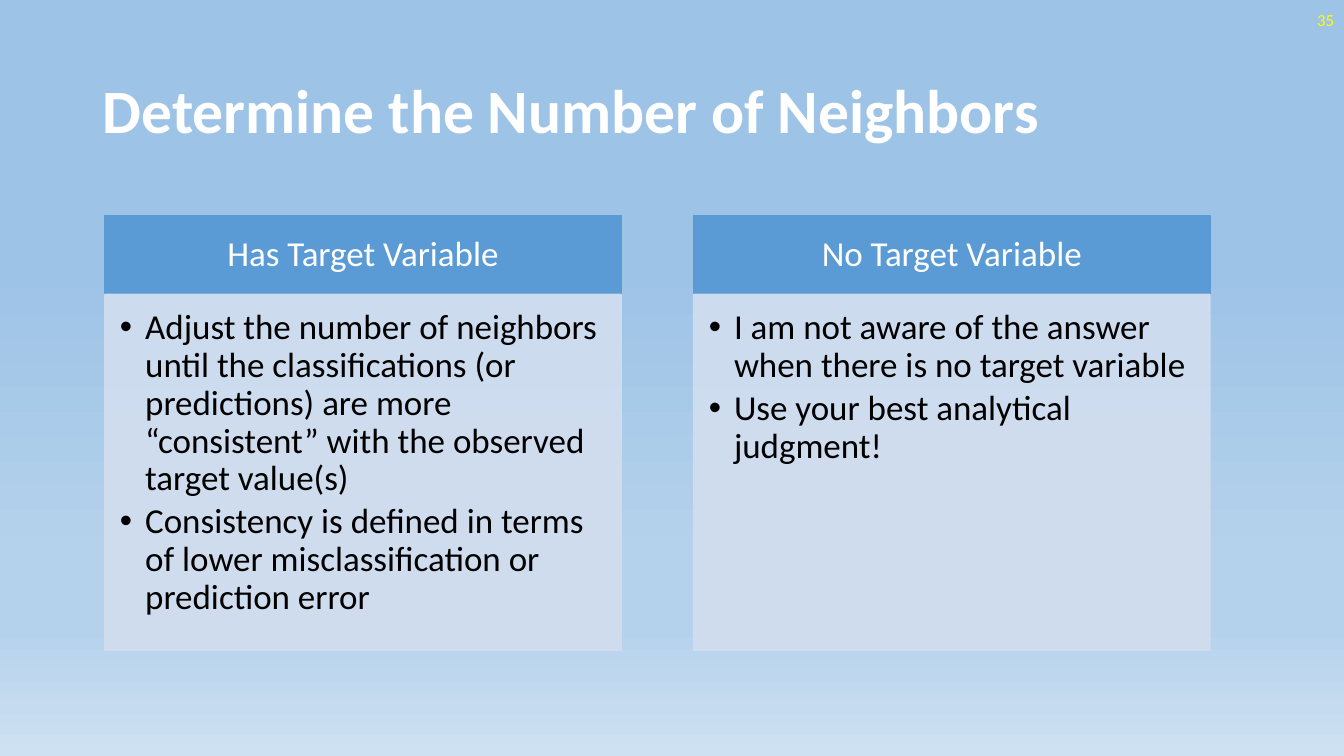
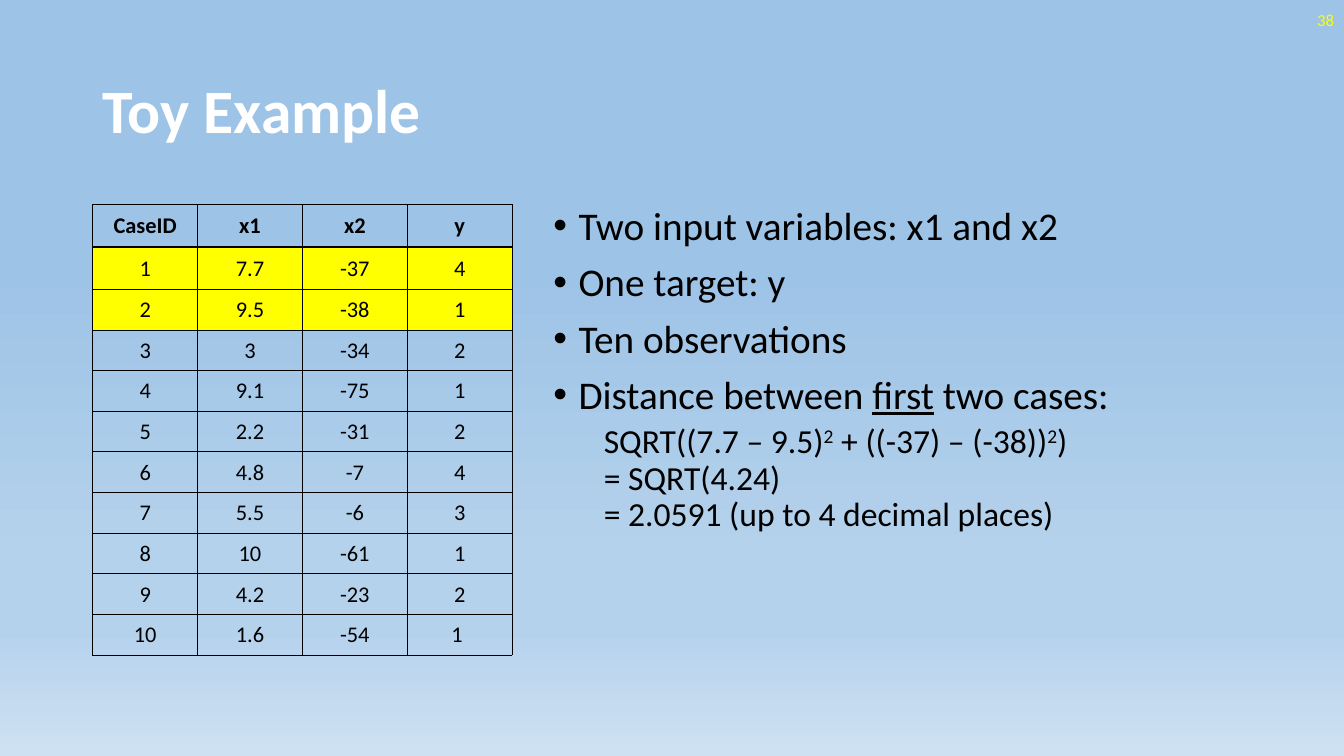
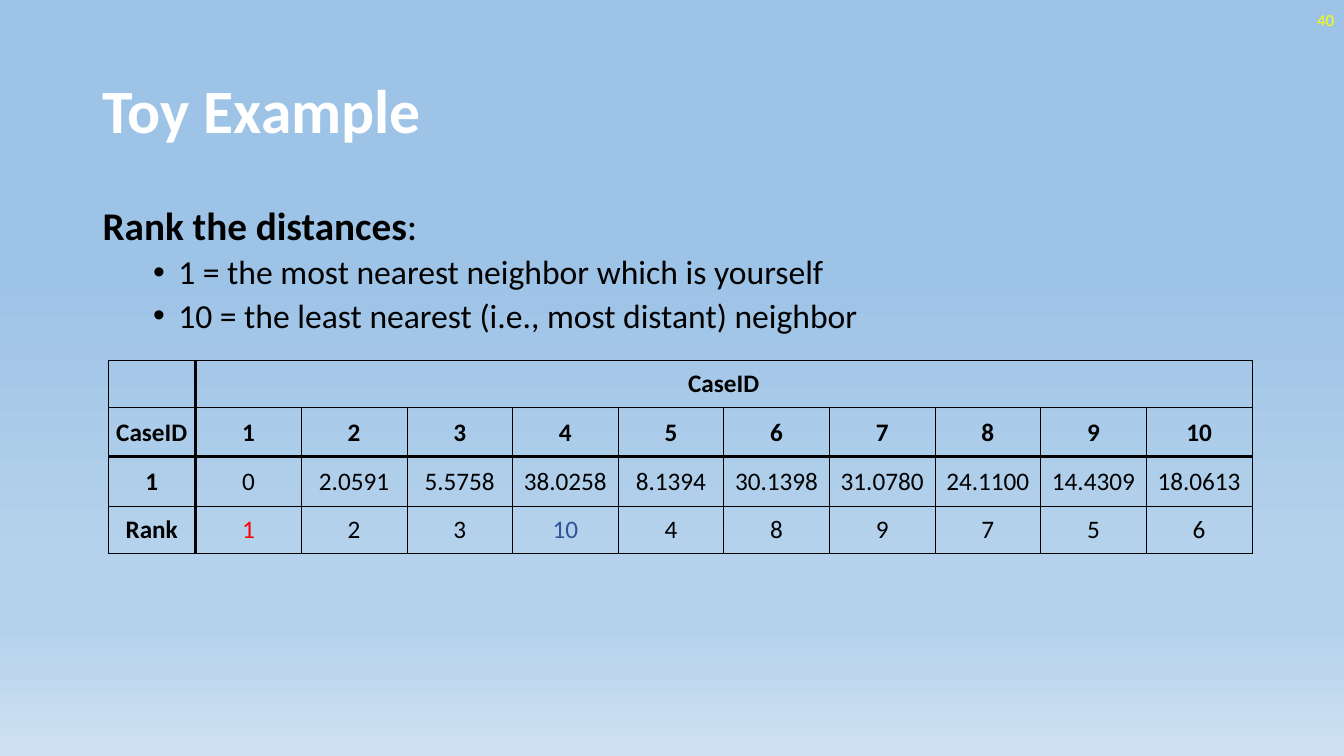
from dataclasses import dataclass, replace

from lxml import etree
from pptx import Presentation
from pptx.dml.color import RGBColor
from pptx.enum.shapes import MSO_SHAPE
from pptx.enum.text import MSO_ANCHOR, PP_ALIGN
from pptx.oxml.ns import qn
from pptx.util import Emu, Pt

EMU_PER_PX = 9144  # 100 px to the inch
SLIDE_WIDTH, SLIDE_HEIGHT = 1333, 750

RECTANGLE = MSO_SHAPE.RECTANGLE
TOP, MIDDLE = MSO_ANCHOR.TOP, MSO_ANCHOR.MIDDLE
LEFT, CENTER, RIGHT = PP_ALIGN.LEFT, PP_ALIGN.CENTER, PP_ALIGN.RIGHT

FONT = "Calibri"
BLACK, WHITE, YELLOW, RED = "000000", "FFFFFF", "FFFF00", "FF0000"
NAVY, HEADER_BLUE, PANEL_BLUE = "2F5597", "5B9BD5", "D2DEEF"
BACKGROUND_STOPS = ((35, "9DC3E6"), (74, "B5D2EC"), (83, "B5D2EC"), (100, "CEE1F2"))
THIN, THICK = 0.5, 2


@dataclass(frozen=True)
class Box:
    left: int
    top: int
    width: int
    height: int


@dataclass(frozen=True)
class Style:
    size: int
    colour: str = BLACK
    bold: bool = False
    align: PP_ALIGN = LEFT
    spacing: float = 0.9
    before: float = 0
    after: float = 0
    margin: int = 0
    indent: int = 0
    bullet: bool = False


@dataclass(frozen=True)
class Run:
    text: str
    bold: bool | None = None
    underline: bool | None = None
    superscript: bool = False


@dataclass(frozen=True)
class Line:
    style: Style
    runs: tuple[Run, ...]


@dataclass(frozen=True)
class Panel:
    heading: str
    bullets: tuple[str, ...]


@dataclass(frozen=True)
class Grid:
    """A table whose thick rules follow its header rows and header columns."""
    box: Box
    rows: tuple[tuple[str, ...], ...]
    widths: list[float]
    heights: list[float]
    size: int
    header_rows: int
    header_columns: int = 0
    highlighted_rows: tuple[int, ...] = ()


TITLE = Style(44, WHITE, bold=True)
NUMBER = Style(12, YELLOW, align=RIGHT, spacing=1)
PANEL_HEADING = Style(25, WHITE, align=CENTER)
PANEL_BULLET = Style(25, after=3.75, margin=25, indent=-25, bullet=True)
BODY = Style(28, before=10)
BODY_BULLET = replace(BODY, margin=25, indent=-25, bullet=True)
FORMULA = Style(24, before=5, margin=50)
SUB_BULLET = replace(FORMULA, margin=75, indent=-25, bullet=True)

TITLE_BOX = Box(92, 40, 1150, 145)
NUMBER_BOX = Box(1033, 0, 300, 40)
DEFAULT_INSETS = (10, 5, 10, 5)

PANELS = (
    Panel("Has Target Variable", (
        "Adjust the number of neighbors until the classifications (or predictions) "
        "are more “consistent” with the observed target value(s)",
        "Consistency is defined in terms of lower misclassification or prediction error",
    )),
    Panel("No Target Variable", (
        "I am not aware of the answer when there is no target variable",
        "Use your best analytical judgment!",
    )),
)
PANEL_LEFT, PANEL_TOP, PANEL_WIDTH, PANEL_PITCH = 104, 214, 512, 584
HEADING_HEIGHT, PANEL_HEIGHT = 78, 353

CASES = (
    ("CaseID", "x1", "x2", "y"),
    ("1", "7.7", "-37", "4"),
    ("2", "9.5", "-38", "1"),
    ("3", "3", "-34", "2"),
    ("4", "9.1", "-75", "1"),
    ("5", "2.2", "-31", "2"),
    ("6", "4.8", "-7", "4"),
    ("7", "5.5", "-6", "3"),
    ("8", "10", "-61", "1"),
    ("9", "4.2", "-23", "2"),
    ("10", "1.6", "-54", "1 "),
)
DISTANCES = (
    ("", "CaseID") + ("",) * 9,
    ("CaseID",) + tuple(str(case) for case in range(1, 11)),
    ("1", "0", "2.0591", "5.5758", "38.0258", "8.1394", "30.1398", "31.0780",
     "24.1100", "14.4309", "18.0613"),
    ("Rank", "1", "2", "3", "10", "4", "8", "9", "7", "5", "6"),
)


def px(value: float) -> Emu:
    return Emu(round(value * EMU_PER_PX))


def rgb(colour: str) -> RGBColor:
    return RGBColor.from_string(colour)


def line(style: Style, *parts: str | Run) -> Line:
    return Line(style, tuple(Run(part) if isinstance(part, str) else part for part in parts))


def set_background(master) -> None:
    fill = master.background.fill
    fill.gradient()
    fill.gradient_angle = 270
    stops = master.element.find(".//" + qn("a:gsLst"))
    for stop in list(stops):
        stops.remove(stop)
    for position, colour in BACKGROUND_STOPS:
        stop = etree.SubElement(stops, qn("a:gs"), pos=str(position * 1000))
        etree.SubElement(stop, qn("a:srgbClr"), val=colour)


def format_paragraph(paragraph, style: Style) -> None:
    properties = paragraph._p.get_or_add_pPr()
    properties.set("marL", str(px(style.margin)))
    properties.set("indent", str(px(style.indent)))
    if style.bullet:
        etree.SubElement(properties, qn("a:buFont"), typeface="Arial")
        etree.SubElement(properties, qn("a:buChar"), char="•")
    paragraph.alignment = style.align
    paragraph.line_spacing = style.spacing
    paragraph.space_before = Pt(style.before)
    paragraph.space_after = Pt(style.after)
    font = paragraph.font
    font.name, font.size, font.bold = FONT, Pt(style.size), style.bold
    font.color.rgb = rgb(style.colour)


def add_run(paragraph, run: Run) -> None:
    for index, text in enumerate(run.text.split("\n")):
        if index:
            paragraph.add_line_break()
        text_run = paragraph.add_run()
        text_run.text = text
        text_run.font.bold = run.bold
        text_run.font.underline = run.underline
        if run.superscript:
            text_run.font._element.set("baseline", "30000")


def write_lines(frame, lines: list[Line]) -> None:
    for index, text_line in enumerate(lines):
        paragraph = frame.add_paragraph() if index else frame.paragraphs[0]
        format_paragraph(paragraph, text_line.style)
        for run in text_line.runs:
            add_run(paragraph, run)


def fill_frame(shape, lines: list[Line], anchor: MSO_ANCHOR, insets: tuple[int, ...]) -> None:
    frame = shape.text_frame
    frame.word_wrap = True
    frame.vertical_anchor = anchor
    (frame.margin_left, frame.margin_top,
     frame.margin_right, frame.margin_bottom) = map(px, insets)
    write_lines(frame, lines)


def placement(box: Box) -> tuple[Emu, ...]:
    return px(box.left), px(box.top), px(box.width), px(box.height)


def add_text(slide, box: Box, lines: list[Line], anchor: MSO_ANCHOR = TOP) -> None:
    fill_frame(slide.shapes.add_textbox(*placement(box)), lines, anchor, DEFAULT_INSETS)


def add_block(slide, box: Box, colour: str, lines: list[Line], anchor: MSO_ANCHOR,
              insets: tuple[int, ...], opacity: int = 100) -> None:
    shape = slide.shapes.add_shape(RECTANGLE, *placement(box))
    shape.shadow.inherit = False
    shape.fill.solid()
    shape.fill.fore_color.rgb = rgb(colour)
    shape.line.color.rgb = rgb(colour)
    shape.line.width = Pt(1)
    if opacity < 100:
        for element in shape._element.spPr.iter(qn("a:srgbClr")):
            etree.SubElement(element, qn("a:alpha"), val=str(opacity * 1000))
    fill_frame(shape, lines, anchor, insets)


def add_panel(slide, panel: Panel, left: int) -> None:
    heading_box = Box(left, PANEL_TOP, PANEL_WIDTH, HEADING_HEIGHT)
    body_box = Box(left, PANEL_TOP + HEADING_HEIGHT, PANEL_WIDTH, PANEL_HEIGHT)
    add_block(slide, heading_box, HEADER_BLUE, [line(PANEL_HEADING, panel.heading)],
              MIDDLE, (19, 11, 19, 11))
    add_block(slide, body_box, PANEL_BLUE, [line(PANEL_BULLET, text) for text in panel.bullets],
              TOP, (15, 15, 19, 22), opacity=90)


def set_borders(cell, row: int, column: int, grid: Grid) -> None:
    first_row, first_column = grid.header_rows, grid.header_columns
    thick_edges = {
        "a:lnL": first_column > 0 and column == first_column,
        "a:lnR": column == first_column - 1,
        "a:lnT": row == first_row,
        "a:lnB": row == first_row - 1,
    }
    properties = cell._tc.get_or_add_tcPr()
    for tag, thick in thick_edges.items():
        width = Pt(THICK if thick else THIN)
        border = etree.SubElement(properties, qn(tag), w=str(width))
        fill = etree.SubElement(border, qn("a:solidFill"))
        etree.SubElement(fill, qn("a:srgbClr"), val=BLACK)


def add_grid(slide, grid: Grid, colours: dict[tuple[int, int], str] | None = None):
    """Draw the grid; colours gives the text colour of single cells."""
    colours = colours or {}
    frame = slide.shapes.add_table(len(grid.rows), len(grid.widths), *placement(grid.box))
    table = frame.table
    table.first_row = table.horz_banding = False
    for column, width in zip(table.columns, grid.widths):
        column.width = px(width)
    for row, height in zip(table.rows, grid.heights):
        row.height = px(height)
    for row, texts in enumerate(grid.rows):
        for column, text in enumerate(texts):
            cell = table.cell(row, column)
            set_borders(cell, row, column, grid)
            if row in grid.highlighted_rows:
                cell.fill.solid()
                cell.fill.fore_color.rgb = rgb(YELLOW)
            else:
                cell.fill.background()
            cell.vertical_anchor = MIDDLE
            cell.margin_left = cell.margin_top = cell.margin_right = px(1)
            cell.margin_bottom = px(0)
            if text:
                header = row < grid.header_rows or column < grid.header_columns
                style = Style(grid.size, colours.get((row, column), BLACK), bold=header,
                              align=CENTER, spacing=1)
                write_lines(cell.text_frame, [line(style, text)])
    return table


def add_slide(presentation, title: str, number: int):
    slide = presentation.slides.add_slide(presentation.slide_layouts[6])
    add_text(slide, TITLE_BOX, [line(TITLE, title)], MIDDLE)
    add_text(slide, NUMBER_BOX, [line(NUMBER, str(number))], MIDDLE)
    return slide


def build_neighbors_slide(presentation) -> None:
    slide = add_slide(presentation, "Determine the Number of Neighbors", 35)
    for index, panel in enumerate(PANELS):
        add_panel(slide, panel, PANEL_LEFT + index * PANEL_PITCH)


def build_cases_slide(presentation) -> None:
    slide = add_slide(presentation, "Toy Example", 38)
    square = Run("2", superscript=True)
    add_text(slide, Box(539, 200, 703, 476), [
        line(BODY_BULLET, "Two input variables: x1 and x2"),
        line(BODY_BULLET, "One target: y"),
        line(BODY_BULLET, "Ten observations"),
        line(BODY_BULLET, "Distance between ", Run("first", underline=True), " two cases:"),
        line(FORMULA, "SQRT((7.7 – 9.5)", square, " + ((-37) – (-38))", square,
             ")\n= SQRT(4.24)\n= 2.0591 (up to 4 decimal places)"),
    ])
    box = Box(92, 203, 416, 447)
    tall_rows = [42, 42]
    other_count = len(CASES) - len(tall_rows)
    heights = tall_rows + [(box.height - sum(tall_rows)) / other_count] * other_count
    add_grid(slide, Grid(box, CASES, [box.width / 4] * 4, heights, size=16,
                         header_rows=1, highlighted_rows=(1, 2)))


def build_ranks_slide(presentation) -> None:
    slide = add_slide(presentation, "Toy Example", 40)
    add_text(slide, Box(92, 200, 1150, 476), [
        line(BODY, Run("Rank the distances", bold=True), ":"),
        line(SUB_BULLET, "1 = the most nearest neighbor which is yourself"),
        line(SUB_BULLET, "10 = the least nearest (i.e., most distant) neighbor"),
    ])
    box = Box(107, 357, 1135, 192)
    label_width = 87
    widths = [label_width] + [(box.width - label_width) / 10] * 10
    table = add_grid(slide, Grid(box, DISTANCES, widths, [47, 49, 49, 47], size=18,
                                 header_rows=2, header_columns=1),
                     colours={(3, 1): RED, (3, 4): NAVY})
    table.cell(0, 1).merge(table.cell(0, 10))


def main() -> None:
    presentation = Presentation()
    presentation.slide_width, presentation.slide_height = px(SLIDE_WIDTH), px(SLIDE_HEIGHT)
    set_background(presentation.slide_master)
    build_neighbors_slide(presentation)
    build_cases_slide(presentation)
    build_ranks_slide(presentation)
    presentation.save("out.pptx")


if __name__ == "__main__":
    main()
